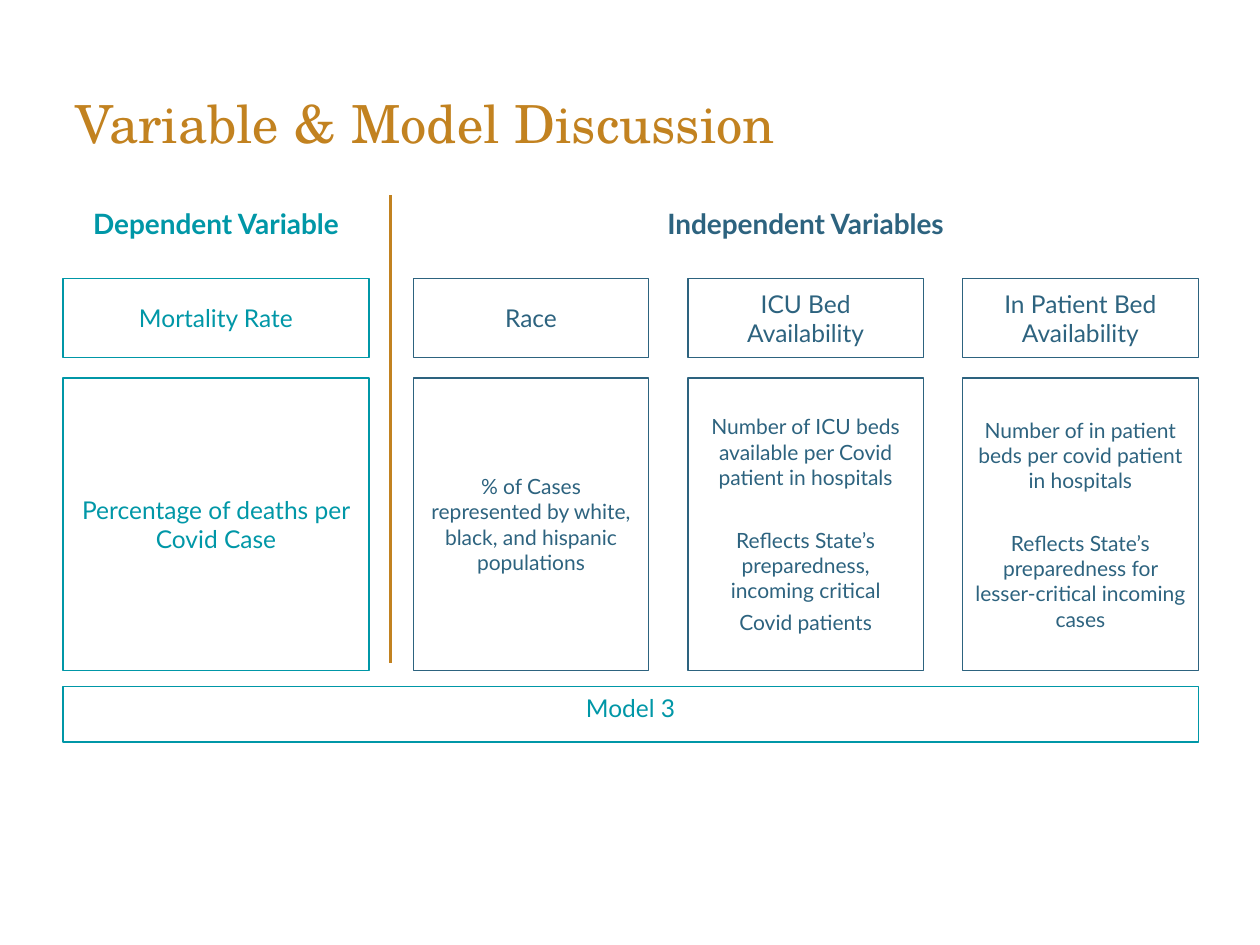
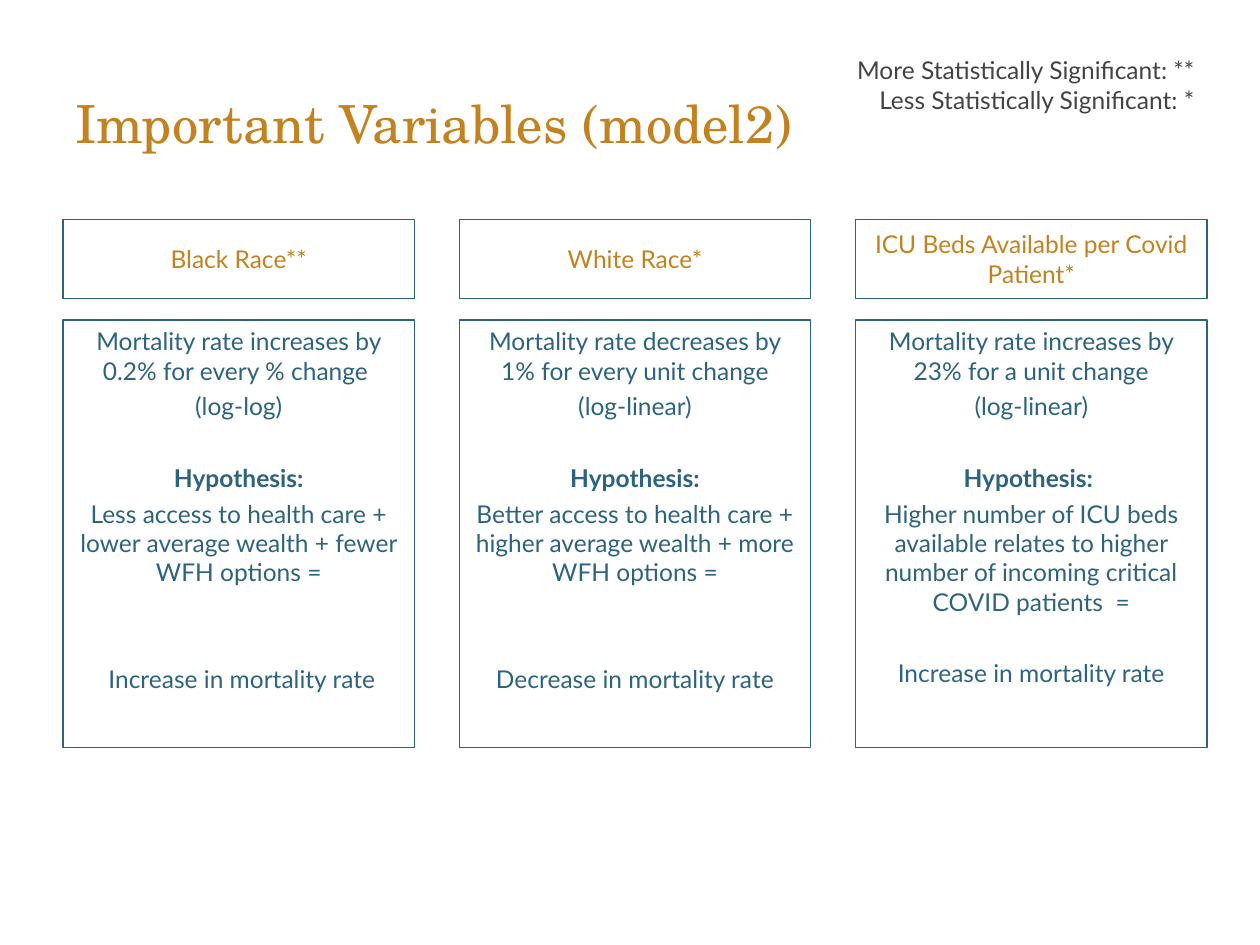
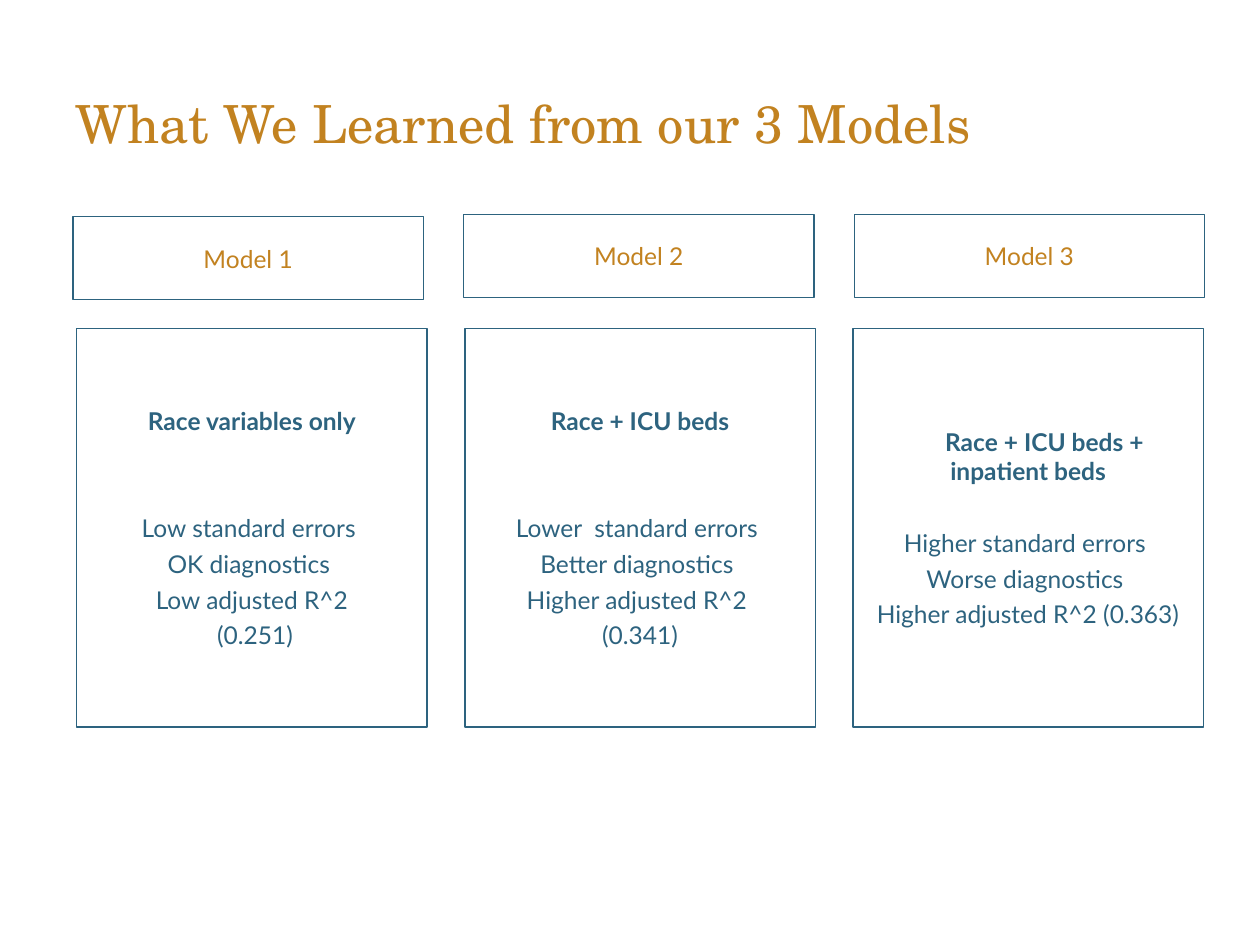
from dataclasses import dataclass
from typing import NamedTuple

from lxml import etree
from pptx import Presentation
from pptx.dml.color import RGBColor
from pptx.enum.shapes import MSO_CONNECTOR, MSO_SHAPE
from pptx.enum.text import MSO_ANCHOR, MSO_AUTO_SIZE, PP_ALIGN
from pptx.oxml.ns import qn
from pptx.util import Inches, Pt

RECTANGLE = MSO_SHAPE.RECTANGLE
STRAIGHT = MSO_CONNECTOR.STRAIGHT
TOP, MIDDLE = MSO_ANCHOR.TOP, MSO_ANCHOR.MIDDLE
LEFT, CENTER, RIGHT = PP_ALIGN.LEFT, PP_ALIGN.CENTER, PP_ALIGN.RIGHT
NO_AUTOFIT = MSO_AUTO_SIZE.NONE

COLORS = {"gold": "C28220", "teal": "0097A7", "navy": "2D637F", "gray": "434343"}
TITLE_FONT, BODY_FONT = "TeX Gyre Schola", "Lato"
TITLE_ONLY_LAYOUT = 5
SPACE_BEFORE = 3.6
LINE_HEIGHT = 1.2
BORDER_WIDTH = 0.75


class Area(NamedTuple):
    left: float
    top: float
    width: float
    height: float


class Row(NamedTuple):
    top: float
    height: float


@dataclass(frozen=True)
class Grid:
    left: float
    right: float
    column_width: float
    columns: int = 3

    def cell(self, column: int, row: Row, span: int = 1) -> Area:
        pitch = 0.0
        if self.columns > 1:
            pitch = (self.right - self.left - self.column_width) / (self.columns - 1)
        width = self.column_width + (span - 1) * pitch
        return Area(self.left + column * pitch, row.top, width, row.height)


@dataclass(frozen=True)
class Line:
    text: str
    bold: bool = False
    lines_above: int = 0
    indent: float = 0


@dataclass(frozen=True)
class Style:
    color: str
    size: float = 14
    border: str | None = "navy"
    anchor: MSO_ANCHOR = MIDDLE
    align: PP_ALIGN = CENTER
    font: str = BODY_FONT
    space_before: float = SPACE_BEFORE
    inset: float = 0.05


@dataclass(frozen=True)
class Finding:
    heading: str
    lines: tuple[Line, ...]


TITLE_AREA = Area(0.5, 0.34, 8.49, 1.26)
TITLE_STYLE = Style("gold", 30, None, MIDDLE, LEFT, TITLE_FONT, 0)
HEADING_STYLE = Style("gold")


def color(name: str) -> RGBColor:
    return RGBColor.from_string(COLORS[name])


def inches(area: Area) -> list[int]:
    return [Inches(length) for length in area]


def write(frame, lines: tuple[Line, ...], style: Style) -> None:
    frame.word_wrap = True
    frame.auto_size = NO_AUTOFIT
    frame.vertical_anchor = style.anchor
    frame.margin_left = frame.margin_right = Inches(0.1)
    frame.margin_top = frame.margin_bottom = Inches(style.inset)
    for index, line in enumerate(lines):
        paragraph = frame.add_paragraph() if index else frame.paragraphs[0]
        paragraph.alignment = style.align
        blank_line = style.size * LINE_HEIGHT + style.space_before
        paragraph.space_before = Pt(style.space_before + line.lines_above * blank_line)
        if line.indent:
            properties = paragraph._p.get_or_add_pPr()
            properties.set("marL", "0")
            properties.set("indent", str(Inches(line.indent)))
        run = paragraph.add_run()
        run.text = line.text
        run.font.name = style.font
        run.font.size = Pt(style.size)
        run.font.bold = line.bold
        run.font.color.rgb = color(style.color)


def add_panel(slide, area: Area, lines: tuple[Line, ...], style: Style) -> None:
    if style.border:
        panel = slide.shapes.add_shape(RECTANGLE, *inches(area))
        panel.shadow.inherit = False
        panel.fill.background()
        panel.line.color.rgb = color(style.border)
        panel.line.width = Pt(BORDER_WIDTH)
    else:
        panel = slide.shapes.add_textbox(*inches(area))
    write(panel.text_frame, lines, style)


def add_divider(slide, x: float, top: float, bottom: float) -> None:
    divider = slide.shapes.add_connector(
        STRAIGHT, Inches(x), Inches(top), Inches(x), Inches(bottom)
    )
    divider.line.color.rgb = color("gold")
    divider.line.width = Pt(1.5)
    etree.SubElement(divider._element.spPr, qn("a:effectLst"))


def add_titled_slide(presentation, title: str):
    slide = presentation.slides.add_slide(presentation.slide_layouts[TITLE_ONLY_LAYOUT])
    heading = slide.shapes.title
    heading.left, heading.top, heading.width, heading.height = inches(TITLE_AREA)
    write(heading.text_frame, (Line(title),), TITLE_STYLE)
    return slide


def build_variables(presentation) -> None:
    slide = add_titled_slide(presentation, "Variable & Model Discussion")
    group_row, name_row, detail_row = Row(1.46, 0.63), Row(2.21, 0.63), Row(3, 2.32)
    dependent = Grid(0.5, 2.93, 2.43, 1)
    independent = Grid(3.28, 9.51, 1.87)
    teal, navy = Style("teal", border="teal"), Style("navy")

    add_panel(slide, dependent.cell(0, group_row),
              (Line("Dependent Variable", True),), Style("teal", 16, None))
    add_panel(slide, independent.cell(0, group_row, 3),
              (Line("Independent Variables", True),), Style("navy", 16, None))
    add_panel(slide, dependent.cell(0, name_row), (Line("Mortality Rate"),), teal)
    add_panel(slide, dependent.cell(0, detail_row),
              (Line("Percentage of deaths per Covid Case"),), teal)

    variables = (
        Finding("Race", (
            Line("% of Cases represented by white, black, and hispanic populations"),
        )),
        Finding("ICU Bed Availability", (
            Line("Number of ICU beds available per Covid patient in hospitals"),
            Line("Reflects State’s preparedness, incoming critical", lines_above=1),
            Line("Covid patients"),
        )),
        Finding("In Patient Bed Availability", (
            Line("Number of in patient beds per covid patient in hospitals"),
            Line("Reflects State’s preparedness for lesser-critical incoming cases",
                 lines_above=1),
        )),
    )
    for column, variable in enumerate(variables):
        add_panel(slide, independent.cell(column, name_row), (Line(variable.heading),), navy)
        add_panel(slide, independent.cell(column, detail_row), variable.lines,
                  Style("navy", 12))

    add_divider(slide, 3.1, 1.55, 5.26)
    add_panel(slide, Area(0.5, 5.45, 9.01, 0.44), (Line("Model 3"),),
              Style("teal", border="teal", anchor=TOP))


def hypothesis(effect: str, form: str, label: str, reason: str, outcome: str,
               lines_above: int) -> tuple[Line, ...]:
    return (
        Line(effect),
        Line(form),
        Line(label, True, 1),
        Line(reason),
        Line(outcome, lines_above=lines_above),
    )


def build_important_variables(presentation) -> None:
    slide = add_titled_slide(presentation, "Important Variables (model2)")
    grid = Grid(0.5, 9.58, 2.79)
    findings = (
        Finding("Black Race**", hypothesis(
            "Mortality rate increases by 0.2% for every % change ",
            "(log-log)",
            "Hypothesis:",
            "Less access to health care + lower average wealth + fewer WFH options =",
            " Increase in mortality rate", 2)),
        Finding("White Race*", hypothesis(
            "Mortality rate decreases by 1% for every unit change",
            "(log-linear)",
            "Hypothesis:",
            "Better access to health care + higher average wealth + more WFH options =",
            "Decrease in mortality rate", 2)),
        Finding("ICU Beds Available per Covid Patient*", hypothesis(
            "Mortality rate increases by 23% for a unit change",
            "(log-linear)",
            "Hypothesis: ",
            "Higher number of ICU beds available relates to higher number of "
            "incoming critical COVID patients  =",
            "Increase in mortality rate", 1)),
    )
    for column, finding in enumerate(findings):
        add_panel(slide, grid.cell(column, Row(1.74, 0.63)), (Line(finding.heading),),
                  HEADING_STYLE)
        add_panel(slide, grid.cell(column, Row(2.54, 3.39)), finding.lines,
                  Style("navy", anchor=TOP))

    significance = (
        Line("More Statistically Significant: **"),
        Line("Less Statistically Significant: *"),
    )
    add_panel(slide, Area(5.79, 0.34, 3.79, 0.94), significance,
              Style("gray", border=None, anchor=TOP, align=RIGHT, space_before=0, inset=0.1))


def build_lessons(presentation) -> None:
    slide = add_titled_slide(presentation, "What We Learned from our 3 Models")
    heading_grid = Grid(0.58, 9.56, 2.78)
    detail_grid = Grid(0.61, 9.55, 2.78)
    heading_tops = (1.72, 1.7, 1.7)
    models = (
        Finding("Model 1", (
            Line("Race variables only", True),
            Line("Low standard errors ", lines_above=2),
            Line("OK diagnostics "),
            Line("Low adjusted R^2"),
            Line(" (0.251)"),
        )),
        Finding("Model 2", (
            Line("Race + ICU beds", True),
            Line("Lower  standard errors ", lines_above=2),
            Line("Better diagnostics "),
            Line("Higher adjusted R^2 "),
            Line("(0.341)"),
        )),
        Finding("Model 3", (
            Line("Race + ICU beds + inpatient beds", True, indent=0.26),
            Line("Higher standard errors ", lines_above=1),
            Line("Worse diagnostics "),
            Line("Higher adjusted R^2 (0.363)"),
        )),
    )
    for column, (model, top) in enumerate(zip(models, heading_tops)):
        add_panel(slide, heading_grid.cell(column, Row(top, 0.66)), (Line(model.heading),),
                  HEADING_STYLE)
        add_panel(slide, detail_grid.cell(column, Row(2.61, 3.16)), model.lines,
                  Style("navy"))


def main() -> None:
    presentation = Presentation()
    presentation.slide_width, presentation.slide_height = Inches(10), Inches(7.5)
    build_variables(presentation)
    build_important_variables(presentation)
    build_lessons(presentation)
    presentation.save("out.pptx")


if __name__ == "__main__":
    main()
